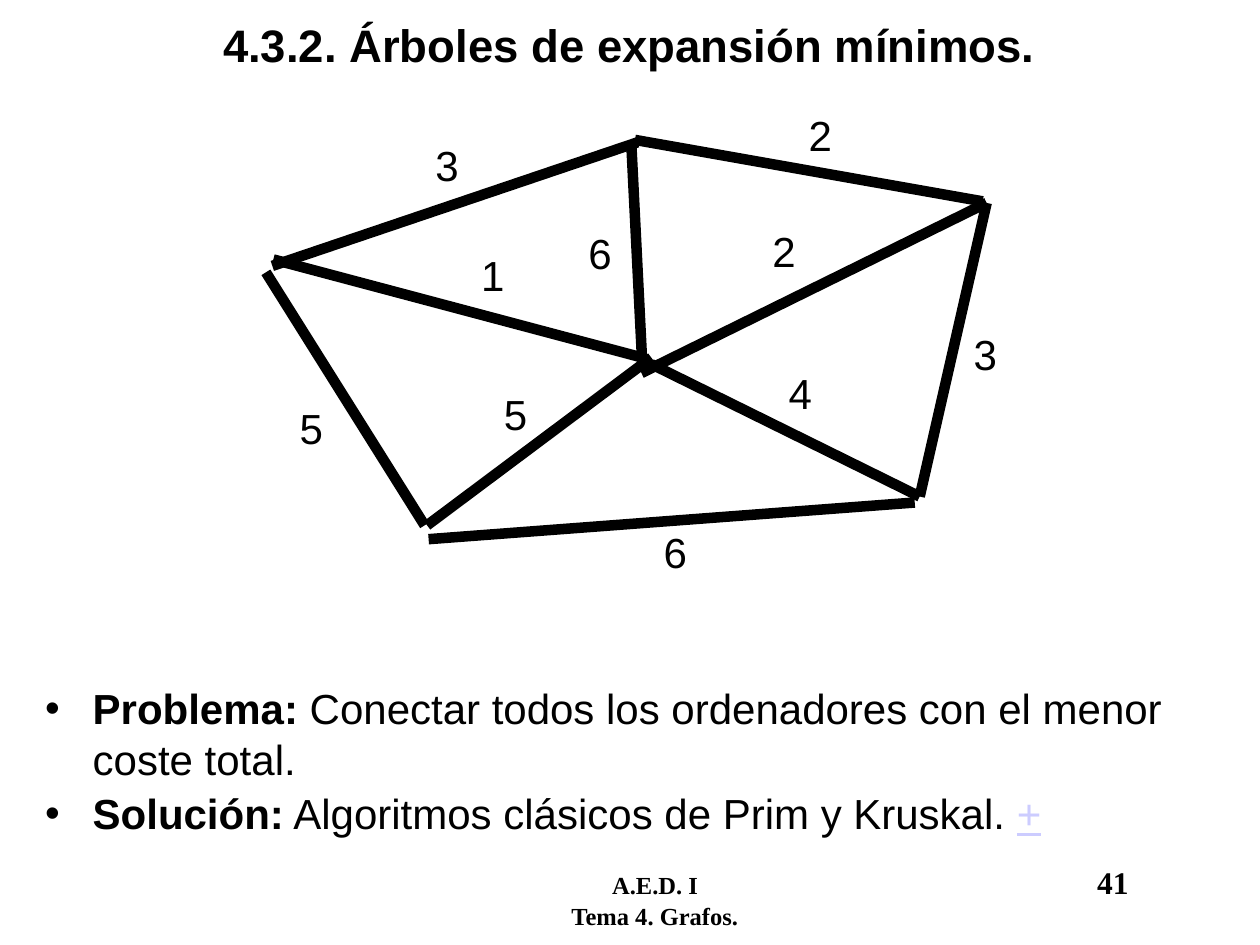
from lxml.etree import SubElement
from pptx import Presentation
from pptx.dml.color import RGBColor
from pptx.enum.shapes import MSO_CONNECTOR
from pptx.enum.text import MSO_ANCHOR, PP_ALIGN
from pptx.oxml.ns import qn
from pptx.util import Cm, Pt

BLACK = "000000"
LINK = "CCCCFF"
TITLE = "4.3.2. Árboles de expansión mínimos."
EDGES = [
    ("3", (5.49, 5.36), (12.85, 2.87), (8.53, 2.69)),
    ("2", (12.8, 2.82), (19.81, 4.06), (16.05, 2.08)),
    ("2", (19.89, 4.09), (12.93, 7.52), (15.32, 4.42)),
    ("6", (12.73, 2.97), (12.95, 7.39), (11.61, 4.47)),
    ("5", (5.36, 5.49), (8.56, 10.59), (5.79, 7.98)),
    ("5", (8.61, 10.59), (13.13, 7.21), (9.91, 7.7)),
    ("4", (13.13, 7.34), (18.54, 10.01), (15.65, 7.29)),
    ("6", (8.64, 10.87), (18.44, 10.13), (13.13, 10.49)),
    ("3", (18.54, 10.01), (19.89, 4.09), (19.38, 6.5)),
    ("1", (5.51, 5.23), (12.88, 7.19), (9.45, 4.9)),
]
BULLETS = [
    [("Problema:", True, BLACK),
     (" Conectar todos los ordenadores con el menor coste total.", False, BLACK)],
    [("Solución:", True, BLACK),
     (" Algoritmos clásicos de Prim y Kruskal. ", False, BLACK),
     ("+", False, LINK)],
]
FOOTER = [
    ([("\tA.E.D. I", 14), ("\t41", 18)], [2.9, 12.68]),
    ([("\tTema 4. Grafos.", 14)], [2.08]),
]


def color(value):
    return RGBColor.from_string(value)


def style(font, size, bold=False, name="Arial", fill=BLACK):
    font.name = name
    font.size = Pt(size)
    font.bold = bold
    font.color.rgb = color(fill)


def add_text(slide, left, top, width, height):
    box = slide.shapes.add_textbox(Cm(left), Cm(top), Cm(width), Cm(height))
    box.text_frame.word_wrap = True
    return box.text_frame


def next_paragraph(frame, index):
    return frame.add_paragraph() if index else frame.paragraphs[0]


def add_title(slide):
    title = slide.shapes.title
    title.left, title.top, title.width, title.height = Cm(0.84), Cm(0), Cm(23.7), Cm(1.8)
    frame = title.text_frame
    frame.text = TITLE
    frame.vertical_anchor = MSO_ANCHOR.MIDDLE
    frame.paragraphs[0].alignment = PP_ALIGN.CENTER
    style(frame.paragraphs[0].runs[0].font, 26, True)


def add_edge(slide, start, end):
    points = [Cm(value) for value in start + end]
    edge = slide.shapes.add_connector(MSO_CONNECTOR.STRAIGHT, *points)
    edge.line.color.rgb = color(BLACK)
    edge.line.width = Pt(6)
    SubElement(edge._element.spPr, qn("a:effectLst"))


def add_weight(slide, weight, position):
    frame = add_text(slide, *position, 1.22, 1.27)
    frame.text = weight
    style(frame.paragraphs[0].runs[0].font, 24)


def add_bullets(slide):
    frame = add_text(slide, 0.66, 13.64, 23.7, 3.35)
    for index, pieces in enumerate(BULLETS):
        paragraph = next_paragraph(frame, index)
        properties = paragraph._p.get_or_add_pPr()
        properties.set("marL", str(Cm(0.96)))
        properties.set("indent", str(Cm(-0.96)))
        SubElement(properties, qn("a:buFont"), typeface="Arial")
        SubElement(properties, qn("a:buChar"), char="•")
        if index:
            paragraph.space_before = Pt(2.4)
        for text, bold, fill in pieces:
            run = paragraph.add_run()
            run.text = text
            style(run.font, 24, bold, fill=fill)
            run.font.underline = fill == LINK


def add_footer(slide):
    frame = add_text(slide, 9.19, 17.27, 14.73, 1.27)
    for index, (pieces, stops) in enumerate(FOOTER):
        paragraph = next_paragraph(frame, index)
        tabs = SubElement(paragraph._p.get_or_add_pPr(), qn("a:tabLst"))
        for stop in stops:
            SubElement(tabs, qn("a:tab"), pos=str(Cm(stop)), algn="l")
        for text, size in pieces:
            run = paragraph.add_run()
            run.text = text
            style(run.font, size, True, "Times New Roman")


def main():
    presentation = Presentation()
    presentation.slide_width, presentation.slide_height = Cm(25.4), Cm(19.05)
    slide = presentation.slides.add_slide(presentation.slide_layouts[5])
    add_footer(slide)
    add_title(slide)
    add_bullets(slide)
    for weight, start, end, position in EDGES:
        add_edge(slide, start, end)
    for weight, start, end, position in EDGES:
        add_weight(slide, weight, position)
    presentation.save("out.pptx")


if __name__ == "__main__":
    main()
